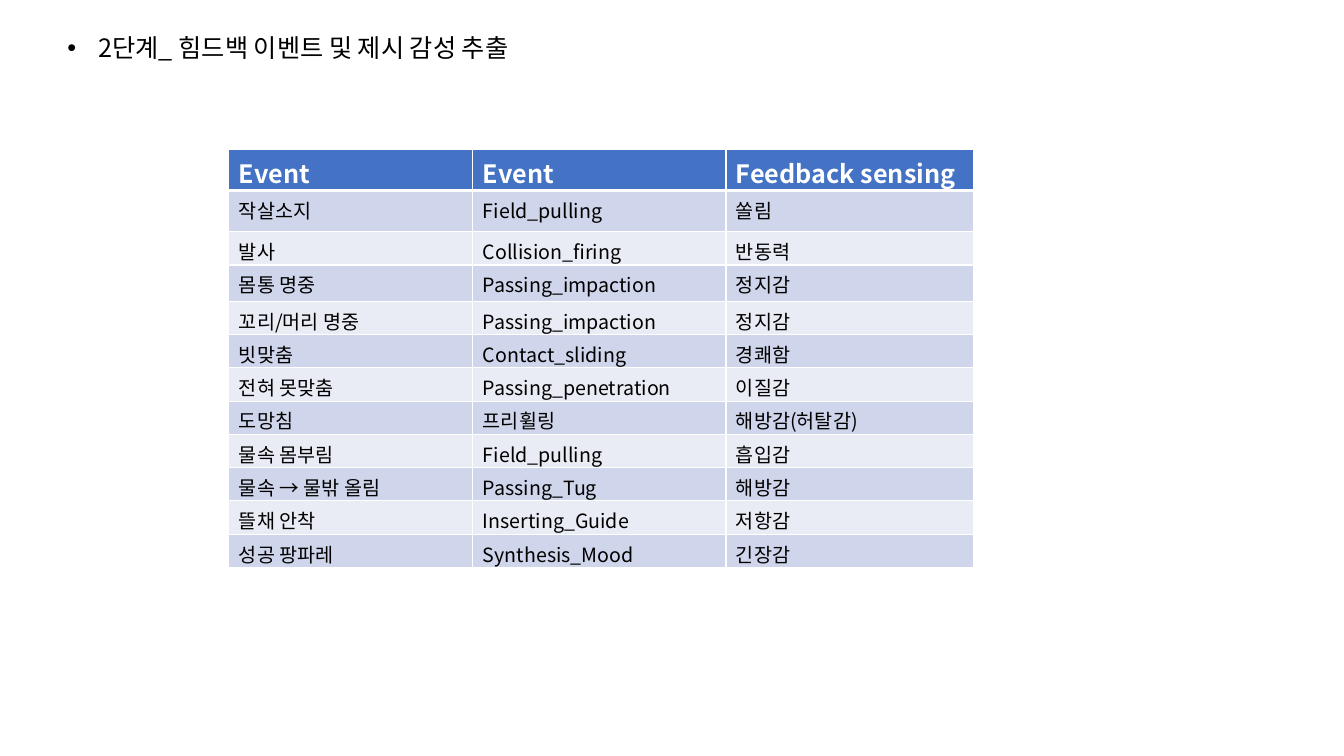
import pptx
import pptx.dml.color
import pptx.oxml
import pptx.oxml.ns
import pptx.util
from pptx.util import Inches

FONT = "Noto Sans CJK KR"
HEADER_FILL = "4472C4"
BAND_FILLS = ("CFD5EA", "E9EBF5")
HEADINGS = ("Event", "Event", "Feedback sensing")
EVENTS = (
    ("작살소지", "Field_pulling", "쏠림"),
    ("발사", "Collision_firing", "반동력"),
    ("몸통 명중", "Passing_impaction", "정지감"),
    ("꼬리/머리 명중", "Passing_impaction", "정지감"),
    ("빗맞춤", "Contact_sliding", "경쾌함"),
    ("전혀 못맞춤", "Passing_penetration", "이질감"),
    ("도망침", "프리휠링", "해방감(허탈감)"),
    ("물속 몸부림", "Field_pulling", "흡입감"),
    ("물속 → 물밖 올림", "Passing_Tug", "해방감"),
    ("뜰채 안착", "Inserting_Guide", "저항감"),
    ("성공 팡파레", "Synthesis_Mood", "긴장감"),
)
COLUMN_WIDTHS = (2.42, 2.51, 2.46)
ROW_HEIGHTS = (0.41, 0.41, 0.33, 0.36) + (0.33,) * 8


def rgb(color):
    return pptx.dml.color.RGBColor.from_string(color)


def xml_element(body):
    """Parse one drawing element, given its tag and attributes."""
    tag = body.split()[0]
    namespace = pptx.oxml.ns.nsdecls("a")
    return pptx.oxml.parse_xml(f"<a:{body.replace(tag, f'{tag} {namespace}', 1)}/>")


def write_text(frame, text, size=14, color="000000", bold=False):
    run = frame.paragraphs[0].add_run()
    run.text = text
    run.font.name = FONT
    run.font.size = pptx.util.Pt(size)
    run.font.bold = bold
    run.font.color.rgb = rgb(color)
    run.font._element.append(xml_element(f'ea typeface="{FONT}"'))


def add_heading(slide, left, top, width, height):
    box = slide.shapes.add_textbox(Inches(left), Inches(top), Inches(width), Inches(height))
    frame = box.text_frame
    frame.word_wrap = True
    write_text(frame, "2단계_ 힘드백 이벤트 및 제시 감성 추출", size=18)
    properties = frame.paragraphs[0]._p.get_or_add_pPr()
    properties.set("marL", str(Inches(0.31)))
    properties.set("indent", str(Inches(-0.31)))
    properties.append(xml_element('buFont typeface="Arial"'))
    properties.append(xml_element('buChar char="•"'))


def set_borders(cell, top=1, bottom=1):
    """Draw white cell borders, with widths in points."""
    properties = cell._tc.get_or_add_tcPr()
    sides = (("lnL", 1), ("lnR", 1), ("lnT", top), ("lnB", bottom))
    for position, (side, width) in enumerate(sides):
        line = xml_element(f'{side} w="{pptx.util.Pt(width)}"')
        fill = xml_element("solidFill")
        fill.append(xml_element('srgbClr val="FFFFFF"'))
        line.append(fill)
        properties.insert(position, line)


def add_event_table(slide, left, top, width, height):
    rows = (HEADINGS,) + EVENTS
    table = slide.shapes.add_table(
        len(rows), len(HEADINGS), Inches(left), Inches(top), Inches(width), Inches(height)
    ).table
    for column, column_width in zip(table.columns, COLUMN_WIDTHS):
        column.width = Inches(column_width)
    for index, (labels, row_height) in enumerate(zip(rows, ROW_HEIGHTS)):
        table.rows[index].height = Inches(row_height)
        is_header = index == 0
        for column, label in enumerate(labels):
            cell = table.cell(index, column)
            cell.margin_bottom = 0
            cell.fill.solid()
            cell.fill.fore_color.rgb = rgb(HEADER_FILL if is_header else BAND_FILLS[(index - 1) % 2])
            set_borders(cell, top=3 if index == 1 else 1, bottom=3 if is_header else 1)
            if is_header:
                write_text(cell.text_frame, label, size=18, color="FFFFFF", bold=True)
            else:
                write_text(cell.text_frame, label)


def main():
    presentation = pptx.Presentation()
    presentation.slide_width = Inches(13.33)
    presentation.slide_height = Inches(7.5)
    slide = presentation.slides.add_slide(presentation.slide_layouts[6])
    add_heading(slide, 0.57, 0.27, 5.1, 0.71)
    add_event_table(slide, 2.27, 1.48, sum(COLUMN_WIDTHS), sum(ROW_HEIGHTS))
    presentation.save("out.pptx")


if __name__ == "__main__":
    main()
